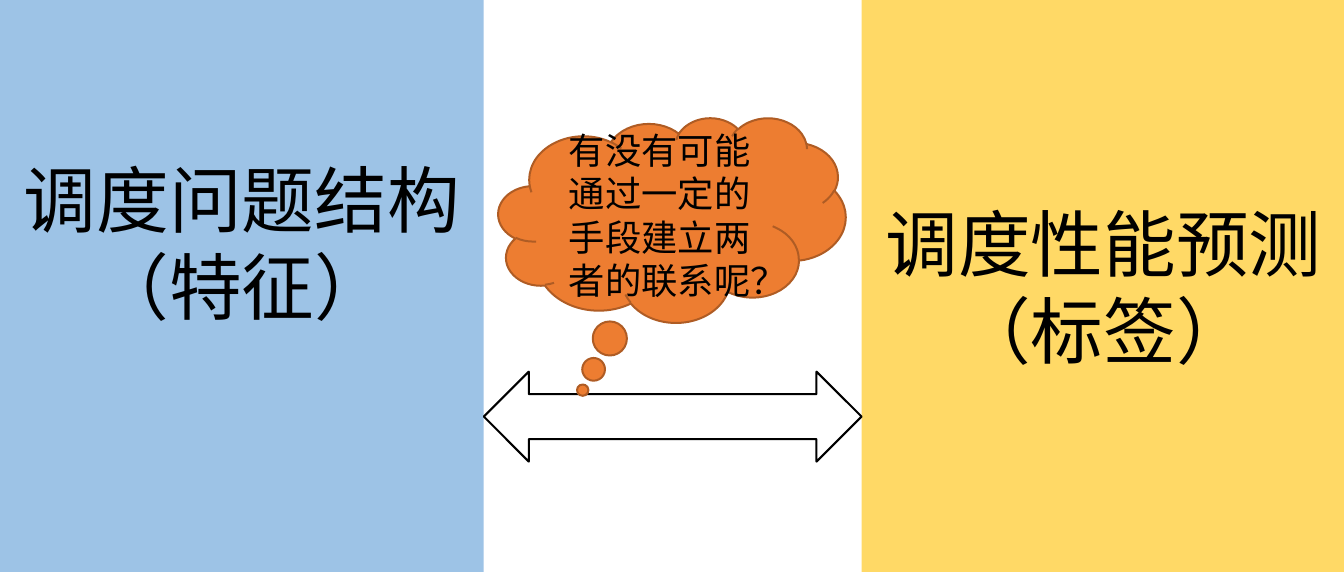
from pptx import Presentation
from pptx.dml.color import RGBColor
from pptx.enum.shapes import MSO_SHAPE as Shape
from pptx.enum.text import MSO_ANCHOR as Anchor, PP_ALIGN as Align
from pptx.util import Inches, Pt

BLACK = RGBColor(0x00, 0x00, 0x00)
WHITE = RGBColor(0xFF, 0xFF, 0xFF)
BLUE = RGBColor(0x9D, 0xC3, 0xE6)
YELLOW = RGBColor(0xFF, 0xD9, 0x66)
ORANGE = RGBColor(0xED, 0x7D, 0x31)
BROWN = RGBColor(0xAF, 0x5C, 0x24)

WIDTH, HEIGHT = 9.25, 3.94
PANEL_WIDTH = 3.33
GAP = 2.6
LINE_HEIGHT = 0.6


def add_block(slide, kind, left, top, width, height, fill=None, line=None):
    block = slide.shapes.add_shape(
        kind, Inches(left), Inches(top), Inches(width), Inches(height))
    block.shadow.inherit = False
    if fill is None:
        block.fill.background()
    else:
        block.fill.solid()
        block.fill.fore_color.rgb = fill
    if line is None:
        block.line.fill.background()
    else:
        block.line.color.rgb = line
        block.line.width = Pt(1)
    return block


def write_lines(block, lines, size, font):
    frame = block.text_frame
    frame.word_wrap = True
    frame.vertical_anchor = Anchor.MIDDLE
    for index, line in enumerate(lines):
        paragraph = frame.add_paragraph() if index else frame.paragraphs[0]
        paragraph.alignment = Align.CENTER
        run = paragraph.add_run()
        run.text = line
        run.font.size = Pt(size)
        run.font.name = font
        run.font.color.rgb = BLACK


def add_panel(slide, left, fill, lines, lift=0):
    panel = add_block(slide, Shape.RECTANGLE, left, 0, PANEL_WIDTH, HEIGHT, fill)
    write_lines(panel, lines, 36, "Noto Sans CJK JP")
    panel.text_frame.margin_bottom = Inches(0.05 + lift)


def add_thought(slide, text):
    cloud = add_block(slide, Shape.CLOUD_CALLOUT, 3.43, 0.81, 2.39, 1.41,
                      ORANGE, BROWN)
    cloud.adjustments[0] = -0.257
    cloud.adjustments[1] = 0.832
    write_lines(cloud, [text], 18, "Calibri")


def main():
    deck = Presentation()
    deck.slide_width, deck.slide_height = Inches(WIDTH), Inches(HEIGHT)
    slide = deck.slides.add_slide(deck.slide_layouts[6])
    slide.background.fill.solid()
    slide.background.fill.fore_color.rgb = WHITE

    add_panel(slide, 0, BLUE, ["调度问题结构", "（特征）"], LINE_HEIGHT)
    add_panel(slide, PANEL_WIDTH + GAP, YELLOW, ["调度性能预测", "（标签）"])
    add_block(slide, Shape.LEFT_RIGHT_ARROW, PANEL_WIDTH, 2.56, GAP, 0.62,
              line=BLACK)
    add_thought(slide, "有没有可能通过一定的手段建立两者的联系呢？")
    deck.save("out.pptx")


main()
